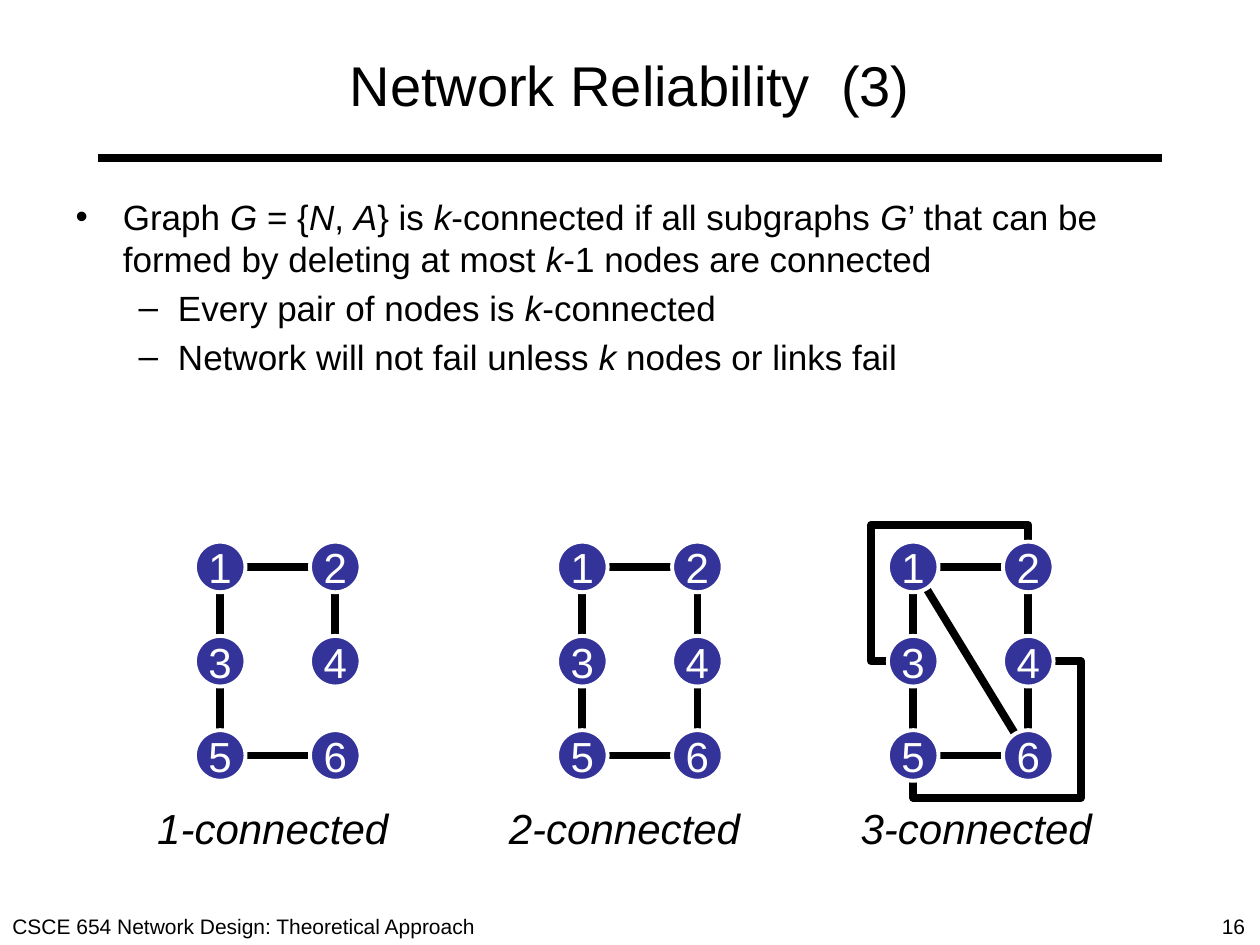
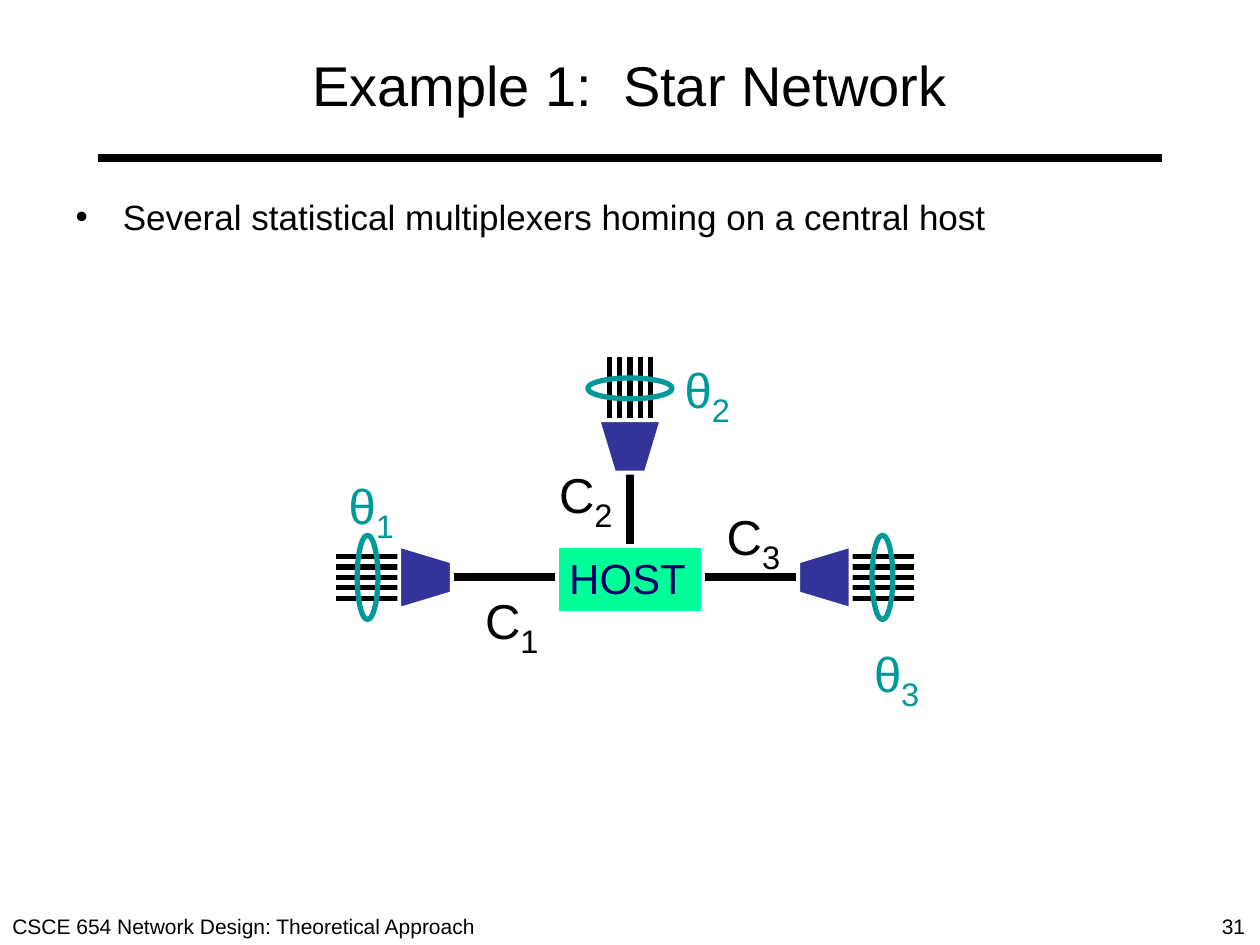
from lxml import etree
from pptx import Presentation
from pptx.dml.color import RGBColor
from pptx.enum.shapes import MSO_CONNECTOR, MSO_SHAPE
from pptx.enum.text import MSO_ANCHOR, MSO_AUTO_SIZE, PP_ALIGN
from pptx.oxml.ns import qn
from pptx.util import Cm, Pt

BLACK, WHITE, BLUE, TEAL = "000000", "FFFFFF", "333399", "009999"
GREEN, NAVY = "00FF99", "000066"
FONT = "Arial"
COURSE = "CSCE 654 Network Design: Theoretical Approach"
THICK, THIN, OUTLINE = 4.5, 3, 2.25

COLUMN_GAP, ROW_GAP, NODE = 2.32, 1.9, 1.02
FIRST_ROW = 11.43


def rgb(color):
    return RGBColor.from_string(color)


def set_attrs(obj, values):
    for name, value in values.items():
        setattr(obj, name, value)


def add_runs(p, text, size, color=BLACK, subscript=False, italic=False):
    """Write text; parts between underscores are italic, or lowered and 32 pt."""
    for i, part in enumerate(text.split("_")):
        marked = i % 2 == 1
        r = p.add_run()
        r.text = part
        lowered = marked and subscript
        set_attrs(r.font, {"name": FONT, "size": Pt(32 if lowered else size),
                           "italic": italic or (marked and not subscript)})
        r.font.color.rgb = rgb(color)
        if lowered:
            r._r.get_or_add_rPr().set("baseline", "-25000")


def style_shape(sp, fill=None, line=WHITE, width=OUTLINE):
    sp.shadow.inherit = False
    if fill:
        sp.fill.solid()
        sp.fill.fore_color.rgb = rgb(fill)
    else:
        sp.fill.background()
    sp.line.color.rgb = rgb(line)
    sp.line.width = Pt(width)


def add_line(s, start, end, width=THICK):
    line = s.shapes.add_connector(MSO_CONNECTOR.STRAIGHT,
                                  *(Cm(v) for v in (*start, *end)))
    line.line.color.rgb = rgb(BLACK)
    line.line.width = Pt(width)
    etree.SubElement(line._element.spPr, qn("a:effectLst"))


def add_outline(s, points, close=False, **style):
    points = [(Cm(x), Cm(y)) for x, y in points]
    builder = s.shapes.build_freeform(*points[0])
    builder.add_line_segments(points[1:], close=close)
    style_shape(builder.convert_to_shape(), **style)


def add_label(s, box, text, size, align=PP_ALIGN.LEFT, wrap=False, **style):
    sp = s.shapes.add_textbox(*(Cm(v) for v in box))
    set_attrs(sp.text_frame, {"word_wrap": wrap,
                              "auto_size": MSO_AUTO_SIZE.SHAPE_TO_FIT_TEXT})
    p = sp.text_frame.paragraphs[0]
    p.alignment = align
    add_runs(p, text, size, **style)


def add_shape(s, kind, center, size, text="", size_pt=24, color=WHITE,
              align=PP_ALIGN.CENTER, anchor=MSO_ANCHOR.MIDDLE, **style):
    (x, y), (w, h) = center, size
    sp = s.shapes.add_shape(kind, Cm(x - w / 2), Cm(y - h / 2), Cm(w), Cm(h))
    style_shape(sp, **style)
    if text:
        set_attrs(sp.text_frame, {"word_wrap": False, "vertical_anchor": anchor})
        p = sp.text_frame.paragraphs[0]
        p.alignment = align
        add_runs(p, text, size_pt, color)


def fill_placeholder(sp, box, items, size):
    set_attrs(sp, dict(zip(("left", "top", "width", "height"),
                           (Cm(v) for v in box))))
    tf = sp.text_frame
    tf.auto_size = MSO_AUTO_SIZE.NONE
    for i, (level, text) in enumerate(items):
        p = tf.add_paragraph() if i else tf.paragraphs[0]
        p.level = level
        add_runs(p, text, size)


def add_slide(prs, title, items, body_height, number):
    """Add a slide with title, list, rule and footer."""
    s = prs.slides.add_slide(prs.slide_layouts[1])
    fill_placeholder(s.shapes.title, (1.27, 0.43, 22.86, 2.54), [(0, title)], 32)
    fill_placeholder(s.placeholders[1], (1.27, 3.81, 22.86, body_height), items, 20)
    add_line(s, (1.98, 3.18), (23.42, 3.18))
    add_label(s, (0, 18.29, 11, 0.76), COURSE, 12, wrap=True)
    add_label(s, (24.38, 18.29, 1.02, 0.76), str(number), 12)
    return s


def node_center(left, number):
    row, column = divmod(number - 1, 2)
    return left + column * COLUMN_GAP, FIRST_ROW + row * ROW_GAP


def add_graph(s, left, edges):
    for a, b in edges:
        add_line(s, node_center(left, a), node_center(left, b))
    for number in range(1, 7):
        add_shape(s, MSO_SHAPE.OVAL, node_center(left, number), (NODE, NODE),
                  str(number), fill=BLUE)


def add_detours(s, left):
    """Draw the bent links 2-3 and 4-5 that run around the graph."""
    n2, n3, n4, n5 = (node_center(left, n) for n in (2, 3, 4, 5))
    top, bottom = n2[1] - 0.85, n5[1] + 0.85
    west, east = n3[0] - 0.85, n4[0] + 1.06
    for points in ([n2, (n2[0], top), (west, top), (west, n3[1]), n3],
                   [n4, (east, n4[1]), (east, bottom), (n5[0], bottom), n5]):
        add_outline(s, points, line=BLACK, width=THICK)


def add_multiplexer(s, x, y, dx, dy, link):
    """Draw input lines, ring, link and trapezoid; (dx, dy) points to the host."""
    def at(along, across):
        return x + dx * along - dy * across, y + dy * along + dx * across

    for i in range(-2, 3):
        add_line(s, at(-1.27, i * 0.21), at(0, i * 0.21), THIN)
    ring = (0.42, 1.7) if dx else (1.7, 0.42)
    add_shape(s, MSO_SHAPE.OVAL, at(-0.64, 0), ring, line=TEAL, width=THIN)
    add_line(s, at(1.06, 0), at(1.06 + link, 0))
    add_outline(s, [at(0, -0.64), at(1.06, -0.32), at(1.06, 0.32), at(0, 0.64)],
                close=True, fill=BLUE)


def add_reliability_slide(prs):
    items = [
        (0, "Graph _G_ = {_N_, _A_} is _k_-connected if all subgraphs _G_’ that "
            "can be formed by deleting at most _k_-1 nodes are connected"),
        (1, "Every pair of nodes is _k_-connected"),
        (1, "Network will not fail unless _k_ nodes or links fail"),
    ]
    s = add_slide(prs, "Network Reliability  (3)", items, 6.4, 16)
    ring = [(1, 5), (1, 2), (2, 6), (5, 6)]
    add_detours(s, 18.41)
    graphs = [(4.44, [(1, 5), (1, 2), (2, 4), (5, 6)]),
              (11.74, ring),
              (18.41, ring + [(1, 6)])]
    for i, (left, edges) in enumerate(graphs):
        add_graph(s, left, edges)
        add_label(s, (2.92 + i * 7.09, 16.05, 5.16, 1.27), f"{i + 1}-connected",
                  24, PP_ALIGN.CENTER, italic=True)


def add_star_slide(prs):
    items = [(0, "Several statistical multiplexers homing on a central host")]
    s = add_slide(prs, "Example 1:  Star Network", items, 13.2, 31)
    for multiplexer in ((8.05, 11.64, 1, 0, 2.12),
                        (12.7, 8.47, 0, 1, 1.7),
                        (17.15, 11.64, -1, 0, 1.9)):
        add_multiplexer(s, *multiplexer)
    loads = [(6.78, 9.32), (13.55, 6.99), (17.37, 12.7)]
    capacities = [(9.53, 11.64), (11.02, 9.1), (14.4, 9.95)]
    for symbol, width, color, places in (("θ", 1.45, TEAL, loads),
                                         ("C", 1.63, BLACK, capacities)):
        for i, place in enumerate(places, 1):
            add_label(s, (*place, width, 1.6), f"{symbol}_{i}", 28,
                      color=color, subscript=True)
    add_shape(s, MSO_SHAPE.RECTANGLE, (12.7, 11.68), (2.95, 1.35), "HOST",
              color=NAVY, align=PP_ALIGN.LEFT, anchor=MSO_ANCHOR.TOP, fill=GREEN)


def main():
    prs = Presentation()
    prs.slide_width, prs.slide_height = Cm(25.4), Cm(19.05)
    add_reliability_slide(prs)
    add_star_slide(prs)
    prs.save("out.pptx")


if __name__ == "__main__":
    main()
